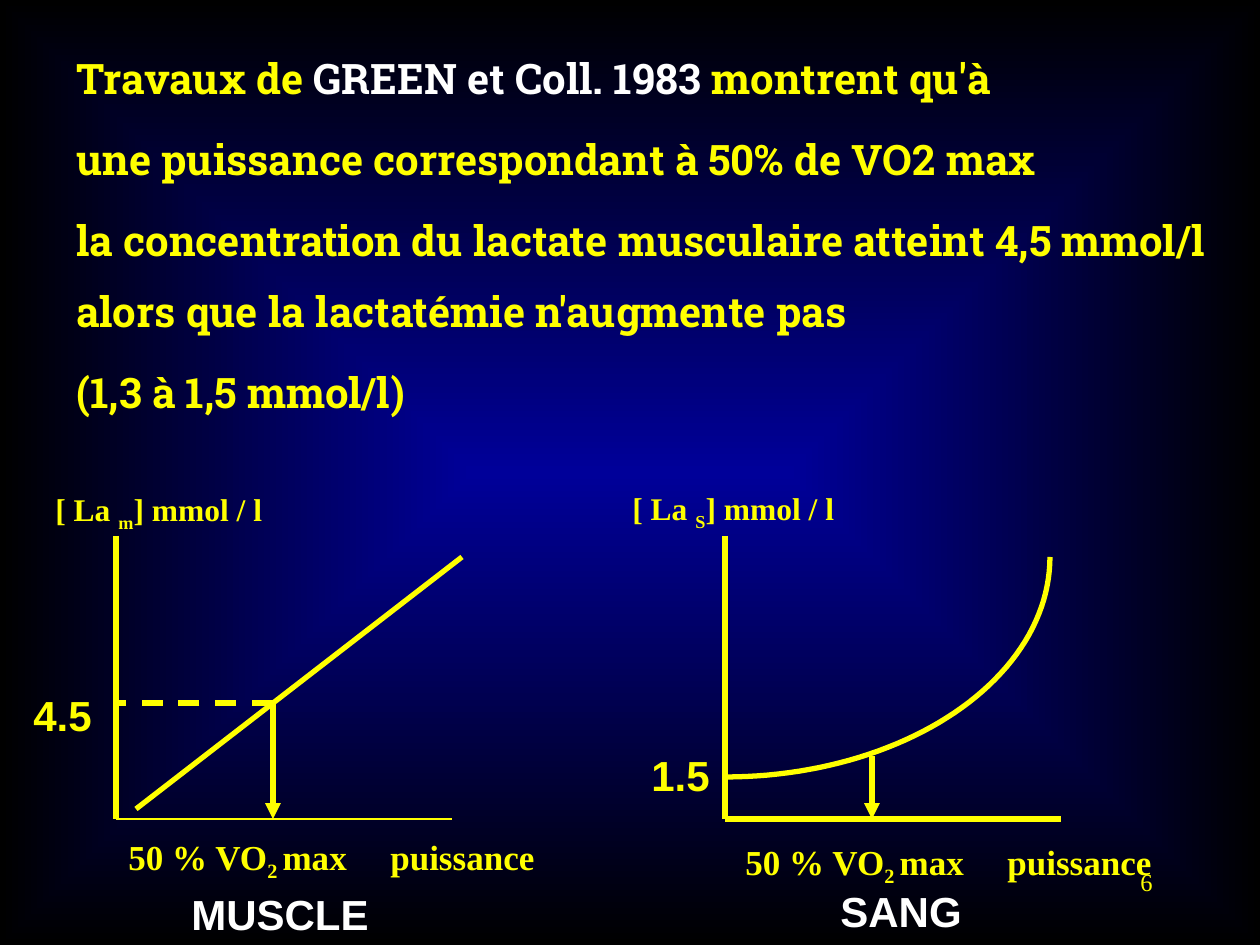
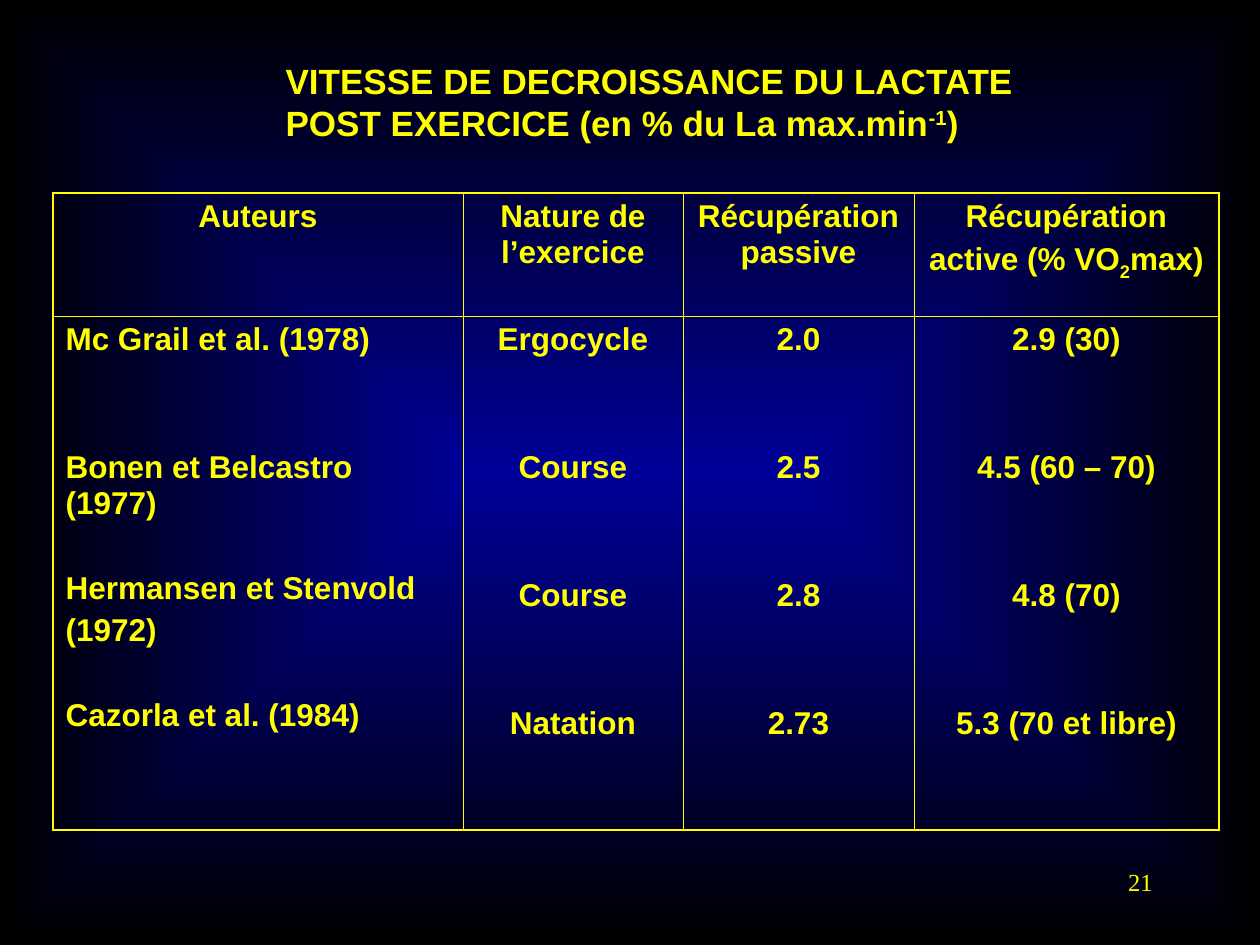
from dataclasses import dataclass
from math import cos, pi, sin

from lxml.etree import SubElement
from pptx import Presentation
from pptx.dml.color import RGBColor
from pptx.enum.dml import MSO_LINE_DASH_STYLE as Dash
from pptx.enum.shapes import MSO_CONNECTOR as Connector
from pptx.enum.text import MSO_ANCHOR as Anchor, MSO_AUTO_SIZE as AutoSize, PP_ALIGN as Align
from pptx.oxml.ns import qn
from pptx.util import Emu, Pt

YELLOW = RGBColor(0xFF, 0xFF, 0x00)
WHITE = RGBColor(0xFF, 0xFF, 0xFF)
BLUE = RGBColor(0x00, 0x00, 0x99)
BLACK = RGBColor(0x00, 0x00, 0x00)

PX_PER_INCH = 126
SUB, SUPER = -25, 30
TITLE_ONLY, BLANK = 5, 6


@dataclass
class Style:
    font: str
    size: int
    color: RGBColor = YELLOW
    bold: bool = True


STATEMENT = Style("Roboto Slab", 24)
TITLE = Style("Arial", 20)
CELL = Style("Arial", 18)
VALUE = Style("Arial", 24)
CAPTION = Style("Arial", 24, WHITE)
UNIT = Style("Times New Roman", 18)
AXIS = Style("Times New Roman", 20)
NUMBER = Style("Times New Roman", 14, bold=False)


def px(length):
    return Emu(round(length * 914400 / PX_PER_INCH))


def add_span(para, text, style, baseline=0, color=None):
    span = para.add_run()
    span.text = text
    font = span.font
    font.name, font.size, font.bold = style.font, Pt(style.size), style.bold
    font.color.rgb = color or style.color
    if baseline:
        span._r.get_or_add_rPr().set("baseline", str(baseline * 1000))


def fill_text(frame, lines, style, align=Align.LEFT, gaps=(), spacing=None):
    """Each line is a list of (text, options); gaps are the spaces between lines."""
    frame.word_wrap = True
    for index, line in enumerate(lines):
        para = frame.add_paragraph() if index else frame.paragraphs[0]
        para.alignment = align
        if index and gaps:
            para.space_before = Pt(gaps[index - 1])
        if spacing:
            para.line_spacing = spacing
        for text, options in line:
            add_span(para, text, style, **options)


def plain(*texts):
    return [[(text, {})] for text in texts]


def add_text(page, place, lines, style, **layout):
    box = page.shapes.add_textbox(*map(px, place))
    fill_text(box.text_frame, lines, style, **layout)
    return box


def add_number(page, number):
    add_text(page, (903, 861, 262, 63), plain(number), NUMBER, align=Align.RIGHT)


def add_line(page, start, end, width=3, dash=None, arrow=False):
    line = page.shapes.add_connector(Connector.STRAIGHT, *map(px, (*start, *end)))
    line.line.color.rgb = YELLOW
    line.line.width = Pt(width)
    if dash:
        line.line.dash_style = dash
    if arrow:
        SubElement(line.line._get_or_add_ln(), qn("a:tailEnd"), type="triangle")
    SubElement(line._element.spPr, qn("a:effectLst"))


def add_quarter_ellipse(page, center, radii, steps=48):
    points = []
    for step in range(steps + 1):
        angle = pi / 2 * step / steps
        points.append((px(center[0] + radii[0] * sin(angle)),
                       px(center[1] + radii[1] * cos(angle))))
    builder = page.shapes.build_freeform(*points[0])
    builder.add_line_segments(points[1:], close=False)
    curve = builder.convert_to_shape()
    curve.shadow.inherit = False
    curve.fill.background()
    curve.line.color.rgb = YELLOW
    curve.line.width = Pt(3)


def add_axes(page, left, base_width):
    add_line(page, (left, 536), (left, 819))
    add_line(page, (left, 819), (left + 336, 819), base_width)


def add_unit_label(page, place, symbol):
    line = [("[ La ", {}), (symbol, {"baseline": SUB}), ("] mmol / l", {})]
    add_text(page, place, [line], UNIT)


def add_power_label(page, place):
    line = [("50 % VO", {}), ("2 ", {"baseline": SUB}), ("max\tpuissance", {})]
    box = add_text(page, place, [line], AXIS)
    tabs = SubElement(box.text_frame.paragraphs[0]._p.get_or_add_pPr(), qn("a:tabLst"))
    SubElement(tabs, qn("a:tab"), pos=str(px(262)), algn="l")


def set_border(cell, side, width):
    border = SubElement(cell._tc.get_or_add_tcPr(), qn(f"a:ln{side}"), w=str(Pt(width)))
    fill = SubElement(border, qn("a:solidFill"))
    SubElement(fill, qn("a:srgbClr"), val=str(YELLOW))


def add_grid(page, place, widths, heights):
    table = page.shapes.add_table(len(heights), len(widths), *map(px, place)).table
    table.first_row = table.horz_banding = False
    for column, width in zip(table.columns, widths):
        column.width = px(width)
    for row, height in zip(table.rows, heights):
        row.height = px(height)
    last_row, last_column = len(heights) - 1, len(widths) - 1
    for r in range(len(heights)):
        for c in range(len(widths)):
            cell = table.cell(r, c)
            outer = {"L": c == 0, "R": c == last_column, "T": r == 0, "B": r == last_row}
            for side, is_outer in outer.items():
                set_border(cell, side, 1.08 if is_outer else 0.45)
            cell.fill.background()
    return table


def set_background(master):
    fill = master.background.fill
    fill.gradient()
    for stop, color in zip(fill.gradient_stops, (BLUE, BLACK)):
        stop.color.rgb = color
    gradient = master.element.find(".//" + qn("a:gradFill"))
    gradient.remove(gradient.find(qn("a:lin")))
    shade = SubElement(gradient, qn("a:path"), path="rect")
    SubElement(shade, qn("a:fillToRect"), l="50000", t="50000", r="50000", b="50000")


def build_green_study(deck):
    page = deck.slides.add_slide(deck.slide_layouts[BLANK])
    add_number(page, "6")
    statement = [
        [("Travaux de ", {}), ("GREEN et Coll. 1983", {"color": WHITE}), (" montrent qu'à", {})],
        *plain("une puissance correspondant à 50% de VO2 max",
               "la concentration du lactate musculaire atteint 4,5 mmol/l "
               "alors que la lactatémie n'augmente pas",
               "(1,3 à 1,5 mmol/l)"),
    ]
    add_text(page, (64, 26, 1170, 397), statement, STATEMENT, gaps=(6, 6, 6), spacing=1.4)

    add_axes(page, 116, 1.5)
    add_line(page, (136, 809), (462, 557))
    add_line(page, (273, 703), (273, 819), arrow=True)
    add_line(page, (273, 703), (116, 703), dash=Dash.DASH)
    add_text(page, (21, 683, 95, 63), plain("4.5"), VALUE)
    add_unit_label(page, (43, 484, 242, 55), "m")
    add_power_label(page, (116, 829, 441, 60))
    add_text(page, (179, 882, 305, 63), plain("MUSCLE"), CAPTION)

    add_axes(page, 725, 3)
    add_quarter_ellipse(page, (725, 557), (325, 220))
    add_line(page, (872, 756), (872, 819), arrow=True)
    add_text(page, (639, 743, 84, 63), plain("1.5"), VALUE)
    add_unit_label(page, (620, 483, 231, 55), "S")
    add_power_label(page, (733, 834, 433, 60))
    add_text(page, (828, 879, 147, 63), plain("SANG"), CAPTION)


def build_decrease_rates(deck):
    page = deck.slides.add_slide(deck.slide_layouts[TITLE_ONLY])
    add_number(page, "21")
    title = page.shapes.title
    title.left, title.top, title.width, title.height = map(px, (273, 53, 790, 97))
    title.text_frame.vertical_anchor = Anchor.TOP
    title.text_frame.auto_size = AutoSize.NONE
    heading = plain("VITESSE DE DECROISSANCE DU LACTATE")
    heading.append([("POST EXERCICE (en % du La max.min", {}),
                    ("-1", {"baseline": SUPER}), (")", {})])
    fill_text(title.text_frame, heading, TITLE)

    table = add_grid(page, (53, 193, 1166, 637), (410, 220, 231, 305), (123, 514))
    active = plain("Récupération")
    active.append([("active (% VO", {}), ("2", {"baseline": SUB}), ("max)", {})])
    headers = [plain("Auteurs"), plain("Nature de l’exercice"),
               plain("Récupération passive"), active]
    for column, header in enumerate(headers):
        fill_text(table.cell(0, column).text_frame, header, CELL, Align.CENTER, gaps=(4,))

    authors = plain("Mc Grail et al. (1978)", "Bonen et Belcastro (1977)",
                    "Hermansen et Stenvold", "(1972)", "Cazorla et al. (1984)")
    fill_text(table.cell(1, 0).text_frame, authors, CELL, gaps=(53, 28.5, 4, 28.5))
    results = [
        ("Ergocycle", "Course", "Course", "Natation"),
        ("2.0", "2.5", "2.8", "2.73"),
        ("2.9 (30)", "4.5 (60 – 70)", "4.8 (70)", "5.3 (70 et libre)"),
    ]
    for column, values in enumerate(results, start=1):
        fill_text(table.cell(1, column).text_frame, plain(*values), CELL,
                  Align.CENTER, gaps=(53, 53, 53))


def main():
    deck = Presentation()
    deck.slide_width, deck.slide_height = px(1260), px(945)
    set_background(deck.slide_master)
    build_green_study(deck)
    build_decrease_rates(deck)
    deck.save("out.pptx")


if __name__ == "__main__":
    main()
